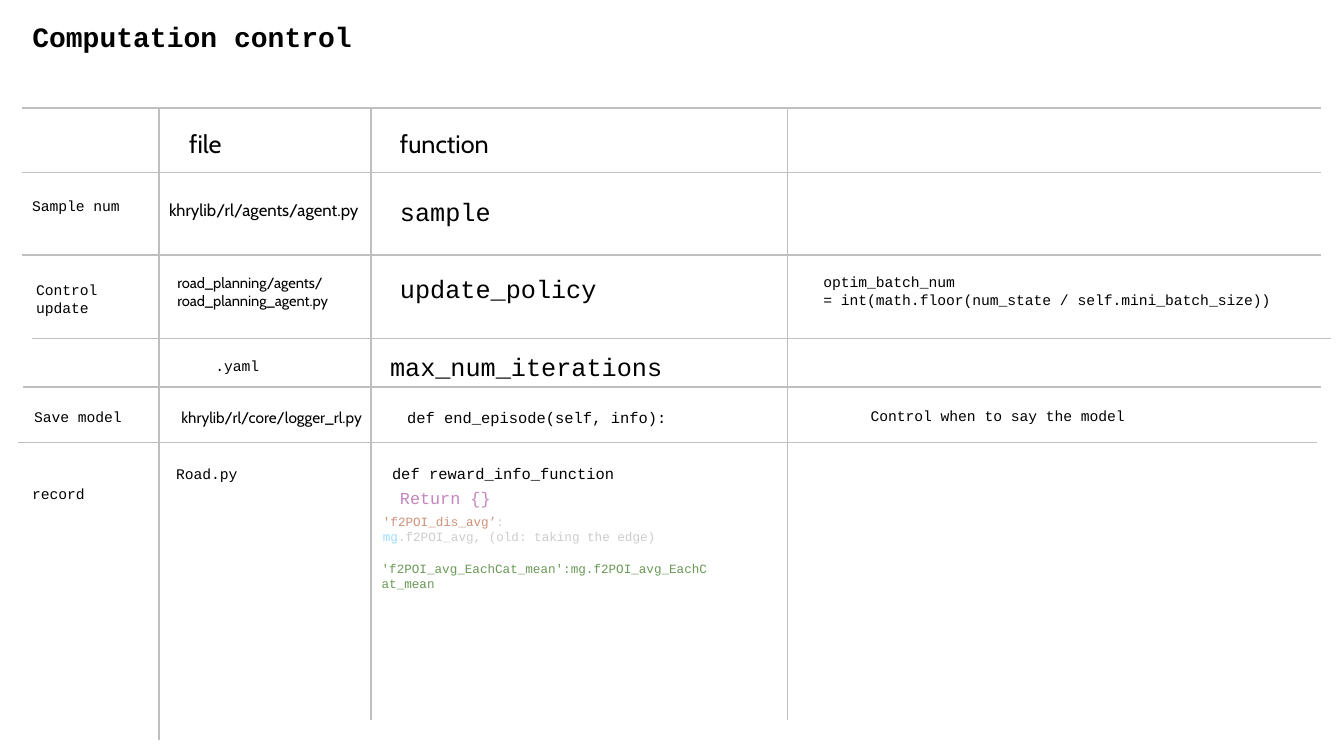
from pptx import Presentation
from pptx.dml.color import RGBColor
from pptx.enum.shapes import MSO_CONNECTOR
from pptx.enum.text import MSO_ANCHOR, MSO_AUTO_SIZE, PP_ALIGN
from pptx.oxml.ns import qn
from pptx.util import Cm, Pt
from lxml.etree import SubElement

MONO, SANS = "Courier New", "Cabin"
BLACK, GRID = "000000", "BFBFBF"
GRID_TOP, GRID_WIDTH = 2.72, 32.72

ROW_LINES = [(0.56, GRID_TOP), (0.56, 4.34), (0.56, 6.43),
             (0.81, 8.53), (0.58, 9.75), (0.46, 11.15)]
COLUMN_LINES = [(4.01, 18.64), (9.35, 18.14), (19.84, 18.14)]

HEADERS = [("file", 4.52, 3.1, 1.6), ("function", 9.83, 3.1, 3)]
TOPICS = [("Sample num", 0.56, 4.83), ("Control update", 0.66, 6.96),
          ("Save model", 0.61, 10.16), ("record", 0.56, 12.09)]
FILES = [("khrylib/rl/agents/agent.py", 4.01, 4.9, 5.56, 12, SANS),
         ("road_planning/agents/\nroad_planning_agent.py", 4.22, 6.78, 4.83, 10.5, SANS),
         (".yaml", 5.18, 8.86, 3.2, 10.5, MONO),
         ("khrylib/rl/core/logger_rl.py", 4.32, 10.16, 5.72, 11, SANS),
         ("Road.py", 4.19, 11.58, 3.2, 10.5, MONO)]
FUNCTIONS = [("sample", 9.83, 4.83, 16.94, 18, BLACK),
             ("update_policy", 9.83, 6.76, 6.63, 18, BLACK),
             ("max_num_iterations", 9.58, 8.74, 8.15, 18, BLACK),
             ("def end_episode(self, info):", 10.01, 10.16, 7.21, 11, BLACK),
             ("def reward_info_function", 9.63, 11.58, 17.7, 11, BLACK),
             ("Return {}", 9.83, 12.17, 17.7, 12, "C586C0"),
             ("'f2POI_avg_EachCat_mean':mg.f2POI_avg_EachCat_mean",
              9.37, 14, 8.81, 9, "6A9955")]
NOTES = [("optim_batch_num\n= int(math.floor(num_state / self.mini_batch_size))",
          20.5, 6.76, 12.95),
         ("Control when to say the model", 21.69, 10.13, 11.68)]
REWARD_ENTRY = [[("'f2POI_dis_avg’", "CE9178"), (":", "CCCCCC")],
                [("mg", "9CDCFE"), (".f2POI_avg, (old: taking the edge)", "CCCCCC")]]


def rgb(value):
    return RGBColor.from_string(value)


def set_font(font, size, name, color=None, bold=False):
    font.size, font.name, font.bold = Pt(size), name, bold
    if color:
        font.color.rgb = rgb(color)


def add_title(slide, text):
    sp = slide.shapes.title
    sp.left, sp.top, sp.width, sp.height = Cm(0.56), Cm(0.36), Cm(27.38), Cm(1.12)
    tf = sp.text_frame
    tf.text = text
    tf.vertical_anchor = MSO_ANCHOR.TOP
    tf.auto_size = MSO_AUTO_SIZE.NONE
    p = tf.paragraphs[0]
    p.alignment = PP_ALIGN.LEFT
    set_font(p.font, 20, MONO, BLACK, True)


def add_line(slide, x1, y1, x2, y2):
    line = slide.shapes.add_connector(
        MSO_CONNECTOR.STRAIGHT, Cm(x1), Cm(y1), Cm(x2), Cm(y2))
    line.line.color.rgb = rgb(GRID)
    line.line.width = Pt(1)
    SubElement(line._element.spPr, qn("a:effectLst"))


def add_frame(slide, left, top, width, size, lines):
    height = 0.25 + lines * size * 0.043
    tf = slide.shapes.add_textbox(Cm(left), Cm(top), Cm(width), Cm(height)).text_frame
    tf.word_wrap = True
    tf.auto_size = MSO_AUTO_SIZE.SHAPE_TO_FIT_TEXT
    return tf


def add_text(slide, text, left, top, width, size=10.5, name=MONO, color=BLACK):
    tf = add_frame(slide, left, top, width, size, text.count("\n") + 1)
    tf.text = text
    for p in tf.paragraphs:
        set_font(p.font, size, name, color)


def add_code(slide, lines, left, top, width, size):
    tf = add_frame(slide, left, top, width, size, len(lines))
    for i, line in enumerate(lines):
        p = tf.add_paragraph() if i else tf.paragraphs[0]
        set_font(p.font, size, MONO)
        for text, color in line:
            r = p.add_run()
            r.text = text
            r.font.color.rgb = rgb(color)


def main():
    prs = Presentation()
    prs.slide_width, prs.slide_height = Cm(33.87), Cm(19.05)
    s = prs.slides.add_slide(prs.slide_layouts.get_by_name("Title Only"))
    add_title(s, "Computation control")
    for x, y in ROW_LINES:
        add_line(s, x, y, x + GRID_WIDTH, y)
    for x, bottom in COLUMN_LINES:
        add_line(s, x, bottom, x, GRID_TOP)
    for header in HEADERS:
        add_text(s, *header, size=18, name=SANS)
    for topic in TOPICS:
        add_text(s, *topic, width=3.2)
    for file in FILES:
        add_text(s, *file)
    for *function, color in FUNCTIONS:
        add_text(s, *function, color=color)
    for note in NOTES:
        add_text(s, *note)
    add_code(s, REWARD_ENTRY, 9.4, 12.83, 17.7, 9)
    prs.save("out.pptx")


if __name__ == "__main__":
    main()
